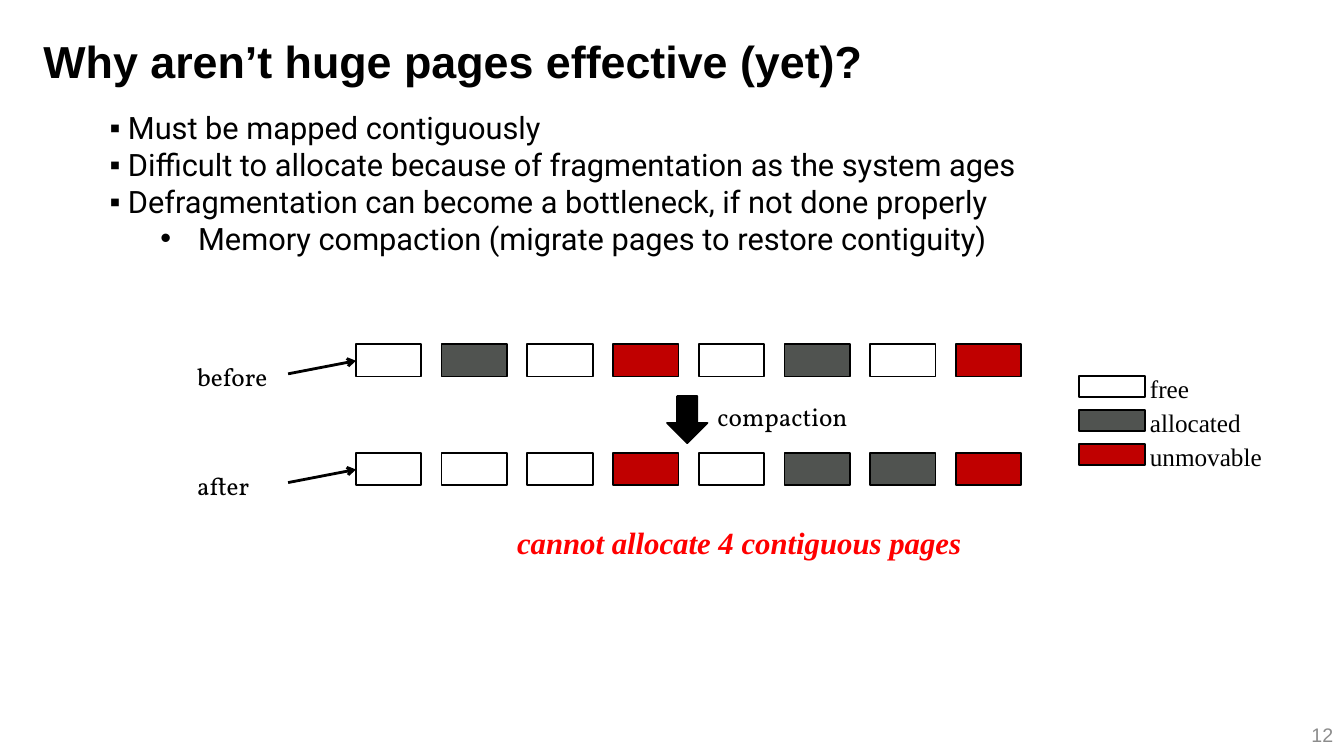
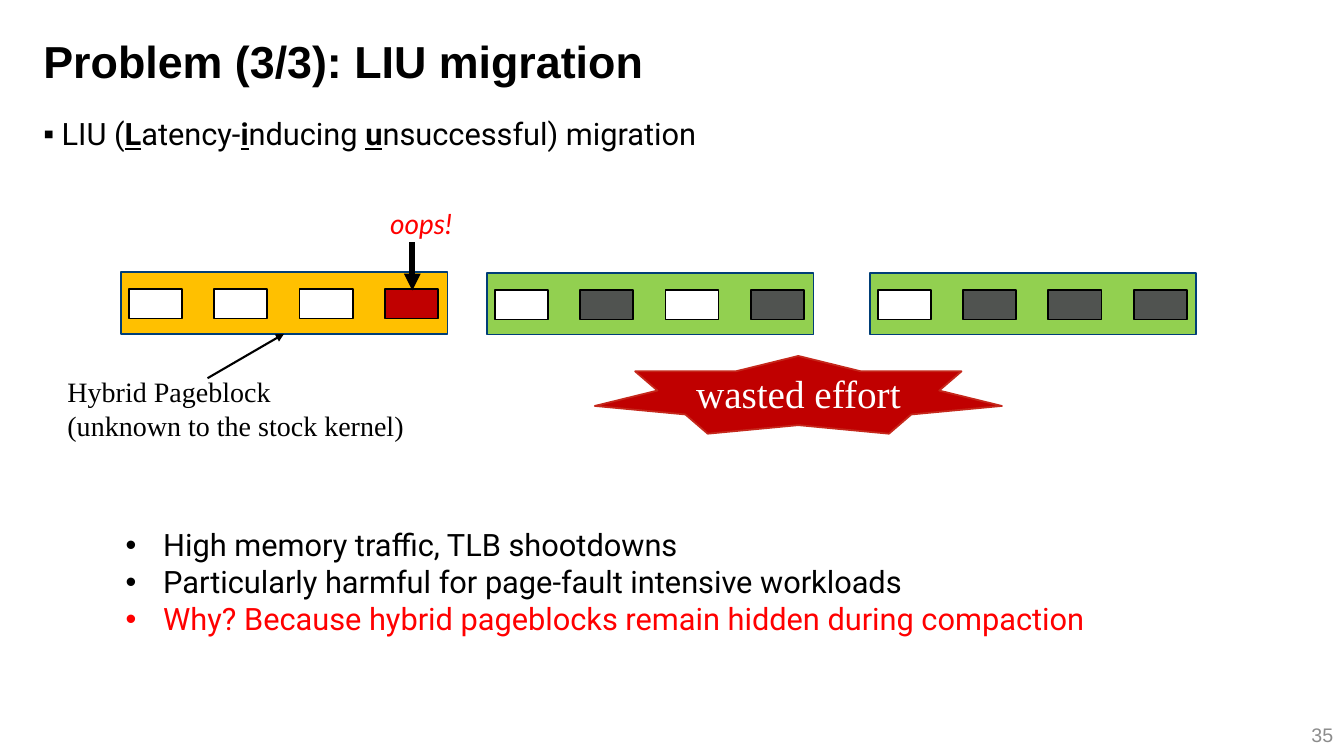
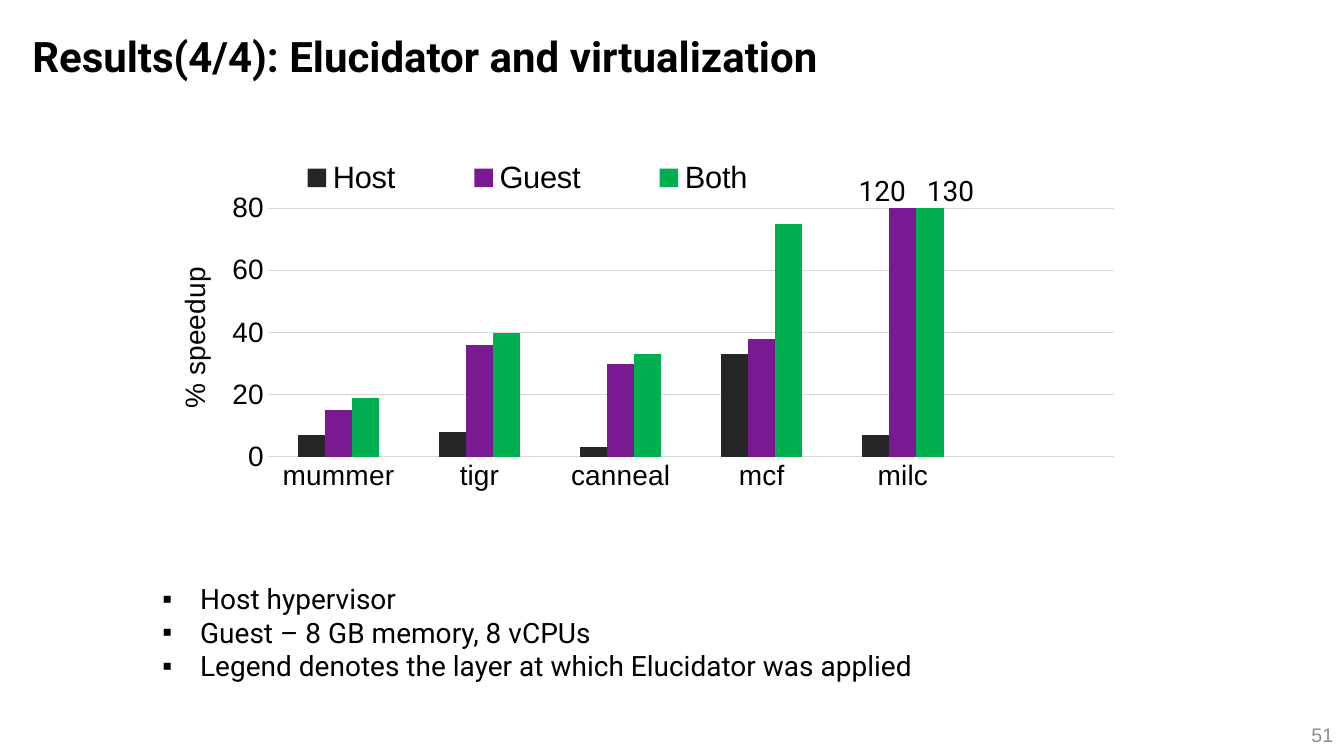
from dataclasses import dataclass
from typing import Any, Optional

import lxml.etree
import pptx
import pptx.chart.data
import pptx.dml.color
import pptx.enum.chart
import pptx.enum.shapes
import pptx.enum.text
import pptx.oxml
import pptx.oxml.ns
import pptx.util

Cm = pptx.util.Cm
Pt = pptx.util.Pt
qn = pptx.oxml.ns.qn
Preset = pptx.enum.shapes.MSO_SHAPE
Align = pptx.enum.text.PP_ALIGN
Anchor = pptx.enum.text.MSO_ANCHOR

COLOURS = {
    "black": "000000", "white": "FFFFFF", "red": "FF0000", "page number": "8C8C8C",
    "free": "FFFFFF", "allocated": "505350", "unmovable": "C00000",
    "hybrid": "FFC000", "movable": "92D050", "block edge": "003E77", "star edge": "C5271B",
    "grid": "D9D9D9", "Host": "262626", "Guest": "7A1A92", "Both": "00B050",
}
STATES = {"F": "free", "A": "allocated", "U": "unmovable"}


# Descriptions of repeated elements (lengths in cm, sizes in points)
@dataclass(frozen=True)
class Area:
    left: float
    top: float
    width: float
    height: float


@dataclass(frozen=True)
class Style:
    font: str
    size: float
    colour: str = "black"
    bold: bool = False
    italic: bool = False


@dataclass(frozen=True)
class Bullet:
    symbol: str
    margin: float
    hang: float


@dataclass(frozen=True)
class Line:
    text: str
    style: Style
    bullet: Optional[Bullet] = None
    align: Any = Align.LEFT
    spacing: float = 1.0


@dataclass(frozen=True)
class Block:
    left: float
    top: float
    colour: str
    cells: str


TITLE = Style("Arial", 32, bold=True)
BODY = Style("Roboto", 22)
NOTE = Style("Roboto", 20)
NUMBER = Style("Arial", 14, "page number")
CAPTION = Style("Vollkorn", 18)
KEY = Style("Times New Roman", 18)

SQUARE = Bullet("▪", 0.46, 0.46)
WIDE_SQUARE = Bullet("▪", 0.95, 0.95)
ROUND = Bullet("•", 2.23, 0.95)


# Drawing functions
def colour(name: str) -> pptx.dml.color.RGBColor:
    return pptx.dml.color.RGBColor.from_string(COLOURS[name])


def lengths(area: Area) -> tuple:
    return Cm(area.left), Cm(area.top), Cm(area.width), Cm(area.height)


def set_font(font: Any, style: Style) -> None:
    font.name, font.size = style.font, Pt(style.size)
    font.bold, font.italic = style.bold, style.italic
    font.color.rgb = colour(style.colour)


def set_bullet(para: Any, bullet: Optional[Bullet]) -> None:
    properties = para._p.get_or_add_pPr()
    if bullet is None:
        properties.set("marL", "0")
        properties.set("indent", "0")
        lxml.etree.SubElement(properties, qn("a:buNone"))
        return
    properties.set("marL", str(int(Cm(bullet.margin))))
    properties.set("indent", str(-int(Cm(bullet.hang))))
    lxml.etree.SubElement(properties, qn("a:buFont"), typeface="Arial")
    lxml.etree.SubElement(properties, qn("a:buChar"), char=bullet.symbol)


def write(frame: Any, lines: list[Line], anchor: Any = Anchor.TOP) -> None:
    """Fill a text frame; text between asterisks is bold and underlined."""
    frame.word_wrap = True
    frame.auto_size = pptx.enum.text.MSO_AUTO_SIZE.NONE
    frame.vertical_anchor = anchor
    for index, line in enumerate(lines):
        para = frame.add_paragraph() if index else frame.paragraphs[0]
        para.alignment = line.align
        para.line_spacing = line.spacing
        para.space_before = para.space_after = Pt(0)
        set_bullet(para, line.bullet)
        set_font(para.font, line.style)
        for part, text in enumerate(line.text.split("*")):
            span = para.add_run()
            span.text = text
            if part % 2:
                span.font.bold = span.font.underline = True


def add_text(page: Any, area: Area, *lines: Line) -> None:
    box = page.shapes.add_textbox(*lengths(area))
    write(box.text_frame, list(lines))


def fill_placeholder(holder: Any, area: Area, lines: list[Line], anchor: Any = Anchor.TOP) -> None:
    holder.left, holder.top, holder.width, holder.height = lengths(area)
    write(holder.text_frame, lines, anchor)


def add_page(deck: Any, layout: int, title: Line, area: Area, number: int) -> Any:
    page = deck.slides.add_slide(deck.slide_layouts[layout])
    fill_placeholder(page.shapes.title, area, [title], Anchor.BOTTOM)
    box = page.shapes.add_textbox(*lengths(Area(26.23, 18, 7.62, 1.02)))
    write(box.text_frame, [Line(str(number), NUMBER, align=Align.RIGHT)], Anchor.MIDDLE)
    return page


def add_shape(page: Any, area: Area, fill: str, edge: str = "black",
              preset: Any = Preset.RECTANGLE) -> Any:
    shape = page.shapes.add_shape(preset, *lengths(area))
    shape.shadow.inherit = False
    shape.fill.solid()
    shape.fill.fore_color.rgb = colour(fill)
    shape.line.color.rgb = colour(edge)
    shape.line.width = Pt(1.25)
    return shape


def add_cells(page: Any, first: Area, pitch: float, states: str) -> None:
    for index, state in enumerate(states):
        left = first.left + index * pitch
        add_shape(page, Area(left, first.top, first.width, first.height), STATES[state])


def add_arrow(page: Any, start: tuple[float, float], end: tuple[float, float],
              width: float, head: str) -> None:
    arrow = page.shapes.add_connector(
        pptx.enum.shapes.MSO_CONNECTOR.STRAIGHT, *map(Cm, start + end))
    arrow.line.color.rgb = colour("black")
    arrow.line.width = Pt(width)
    lxml.etree.SubElement(arrow.line._get_or_add_ln(), qn("a:tailEnd"), type=head)
    lxml.etree.SubElement(arrow._element.spPr, qn("a:effectLst"))


def set_layout(parent: Any, index: int, area: Area, inner: bool = False) -> None:
    """Place a chart part; the area is given in fractions of the chart."""
    for old in parent.findall(qn("c:layout")):
        parent.remove(old)
    layout = lxml.etree.Element(qn("c:layout"))
    manual = lxml.etree.SubElement(layout, qn("c:manualLayout"))
    values = [("layoutTarget", "inner")] if inner else []
    values += [("xMode", "edge"), ("yMode", "edge"), ("x", area.left), ("y", area.top),
               ("w", area.width), ("h", area.height)]
    for name, value in values:
        lxml.etree.SubElement(manual, qn("c:" + name), val=str(value))
    parent.insert(index, layout)


# Slides
def build_huge_pages(deck: Any) -> None:
    page = add_page(deck, 1, Line("Why aren’t huge pages effective (yet)?", TITLE, spacing=0.8),
                    Area(0.84, 0.3, 21.6, 2.03), 12)
    fill_placeholder(page.placeholders[1], Area(2.51, 2.62, 25.83, 4.01), [
        Line("Must be mapped contiguously", BODY, SQUARE),
        Line("Difficult to allocate because of fragmentation as the system ages", BODY, SQUARE),
        Line("Defragmentation can become a bottleneck, if not done properly", BODY, SQUARE),
        Line("Memory compaction (migrate pages to restore contiguity)", BODY, ROUND),
    ])

    # Memory before and after compaction
    for caption, top, states in (("before", 8.67, "FAFUFAFU"), ("after", 11.41, "FFFUFAAU")):
        add_cells(page, Area(8.97, top, 1.65, 0.82), 2.16, states)
        add_text(page, Area(4.72, top + 0.32, 4.62, 1.02), Line(caption, CAPTION))
        add_arrow(page, (7.26, top + 0.75), (8.97, top + 0.42), 2, "arrow")
    add_shape(page, Area(16.81, 9.98, 1.02, 1.19), "black", preset=Preset.DOWN_ARROW)
    add_text(page, Area(17.83, 9.98, 4.62, 1.02), Line("compaction", CAPTION))

    # Key to the cell colours
    for index, state in enumerate(STATES.values()):
        top = 9.47 + index * 0.86
        add_shape(page, Area(27.2, top, 1.65, 0.53), state)
        add_text(page, Area(28.73, top - 0.2, 3.84, 1.02), Line(state, KEY))

    verdict = Style("Times New Roman", 22, "red", bold=True, italic=True)
    add_text(page, Area(12.78, 13.08, 17.45, 1.19),
             Line("cannot allocate 4 contiguous pages", verdict))


def build_migration(deck: Any) -> None:
    page = add_page(deck, 3, Line("Problem (3/3): LIU migration", TITLE, spacing=0.8),
                    Area(0.84, 0.3, 27.71, 2.03), 35)
    fill_placeholder(page.placeholders[1], Area(0.84, 2.77, 31.75, 1.19), [
        Line("LIU (*L*atency-*i*nducing *u*nsuccessful) migration", BODY, SQUARE)])
    fill_placeholder(page.placeholders[2], Area(1.63, 13.13, 30.73, 3.07), [
        Line("High memory traffic, TLB shootdowns", BODY, ROUND),
        Line("Particularly harmful for page-fault intensive workloads", BODY, ROUND),
        Line("Why? Because hybrid pageblocks remain hidden during compaction",
             Style("Roboto", 22, "red"), ROUND),
    ])

    # Pageblocks
    for block in (Block(3.05, 6.86, "hybrid", "FFFU"), Block(12.27, 6.88, "movable", "FAFA"),
                  Block(21.92, 6.88, "movable", "FAAA")):
        add_shape(page, Area(block.left, block.top, 8.23, 1.55), block.colour, "block edge")
        add_cells(page, Area(block.left + 0.2, block.top + 0.43, 1.34, 0.74), 2.15, block.cells)

    # Callouts
    add_arrow(page, (5.23, 9.53), (7.16, 8.41), 1.5, "triangle")
    add_arrow(page, (10.39, 6.1), (10.39, 7.32), 4, "triangle")
    add_text(page, Area(9.58, 5.08, 3.66, 1.12),
             Line("oops!", Style("Lato", 20, "red", italic=True)))
    remark = Style("Times New Roman", 20)
    add_text(page, Area(1.45, 9.32, 11.66, 1.96),
             Line("Hybrid Pageblock", remark), Line("(unknown to the stock kernel)", remark))
    star = add_shape(page, Area(14.99, 8.97, 10.26, 1.96), "unmovable", "star edge",
                     Preset.STAR_7_POINT)
    write(star.text_frame, [Line("wasted effort", Style("Times New Roman", 28, "white"),
                                 align=Align.CENTER)], Anchor.MIDDLE)


def add_speedup_chart(page: Any, area: Area) -> None:
    data = pptx.chart.data.CategoryChartData()
    data.categories = ["mummer", "tigr", "canneal", "mcf", "milc", ""]
    data.add_series("Host", (7, 8, 3, 33, 7, None))
    data.add_series("Guest", (15, 36, 30, 38, 123, None))
    data.add_series("Both", (19, 40, 33, 75, 131, None))
    chart = page.shapes.add_chart(
        pptx.enum.chart.XL_CHART_TYPE.COLUMN_CLUSTERED, *lengths(area), data).chart
    chart.has_title = False
    set_font(chart.font, Style("Arial", 10))
    set_layout(chart._chartSpace.chart.plotArea, 0, Area(0.12, 0.15, 0.88, 0.65), inner=True)

    plot = chart.plots[0]
    plot.gap_width, plot.overlap, plot.vary_by_categories = 219, 0, False
    for series in plot.series:
        series.format.fill.solid()
        series.format.fill.fore_color.rgb = colour(series.name)

    # Axes
    label = Style("Arial", 20)
    for axis in (chart.category_axis, chart.value_axis):
        axis.major_tick_mark = axis.minor_tick_mark = pptx.enum.chart.XL_TICK_MARK.NONE
        set_font(axis.tick_labels.font, label)
    values = chart.value_axis
    values.minimum_scale, values.maximum_scale, values.major_unit = 0, 80, 20
    values.format.line.fill.background()
    for line in (chart.category_axis.format.line, values.major_gridlines.format.line):
        line.color.rgb = colour("grid")
        line.width = Pt(0.75)
    para = values.axis_title.text_frame.paragraphs[0]
    para.add_run().text = "% speedup"
    set_font(para.font, label)
    set_layout(values.axis_title._element, 1, Area(0.02, 0.29, 0.03, 0.37))

    # Legend
    chart.has_legend = True
    chart.legend.position = pptx.enum.chart.XL_LEGEND_POSITION.RIGHT
    chart.legend.include_in_layout = False
    set_font(chart.legend.font, Style("Arial", 22))
    set_layout(chart.legend._element, 1, Area(0.09, 0.02, 0.6, 0.1))


def build_results(deck: Any) -> None:
    title = Line("Results(4/4): Elucidator and virtualization", Style("Roboto", 30, bold=True))
    page = add_page(deck, 1, title, Area(0.56, 0.13, 26.16, 2.03), 51)
    add_speedup_chart(page, Area(3.84, 3.81, 24.26, 9.63))
    for left, peak in ((21.39, "120"), (23.11, "130")):
        add_text(page, Area(left, 4.24, 1.8, 1.12), Line(peak, NOTE))
    fill_placeholder(page.placeholders[1], Area(3.84, 14.53, 19.76, 2.82), [
        Line(text, NOTE, WIDE_SQUARE) for text in (
            "Host hypervisor",
            "Guest – 8 GB memory, 8 vCPUs",
            "Legend denotes the layer at which Elucidator was applied",
        )])


def main() -> None:
    deck = pptx.Presentation()
    deck.slide_width, deck.slide_height = Cm(33.87), Cm(19.05)
    build_huge_pages(deck)
    build_migration(deck)
    build_results(deck)
    deck.save("out.pptx")


if __name__ == "__main__":
    main()
